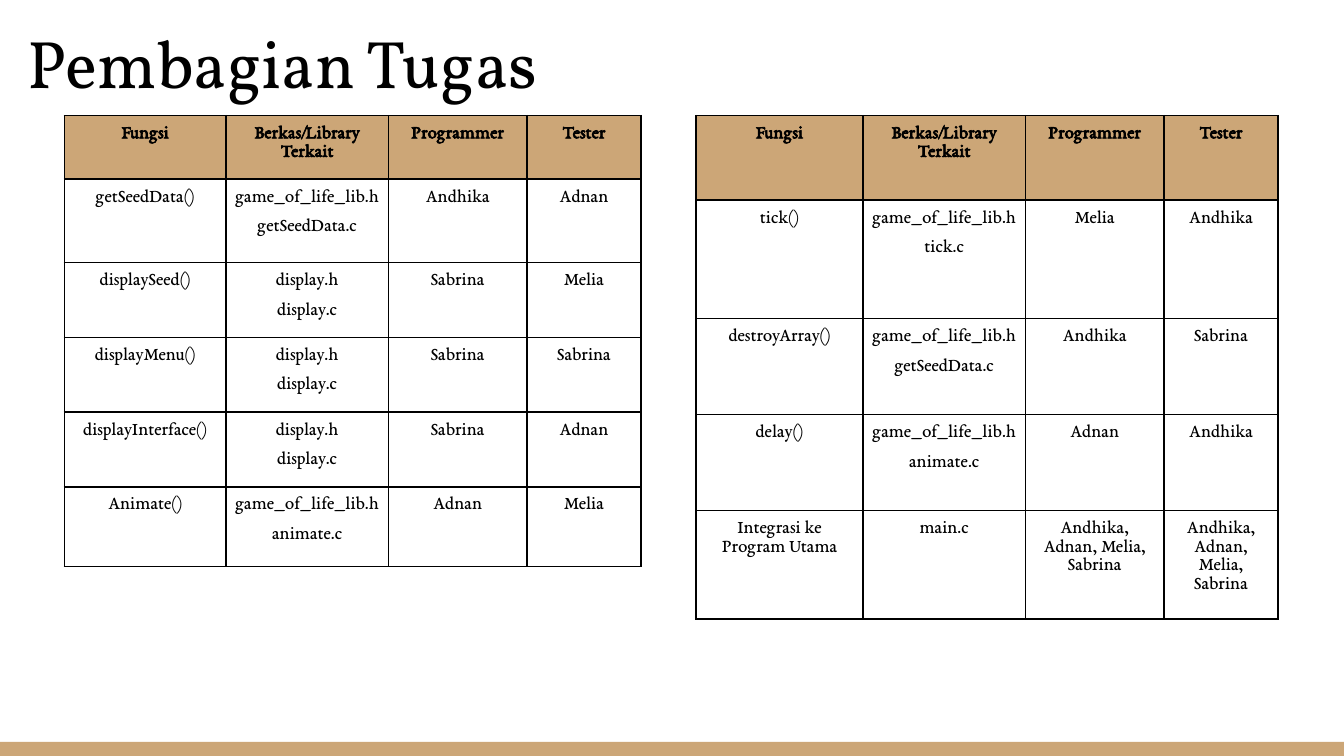
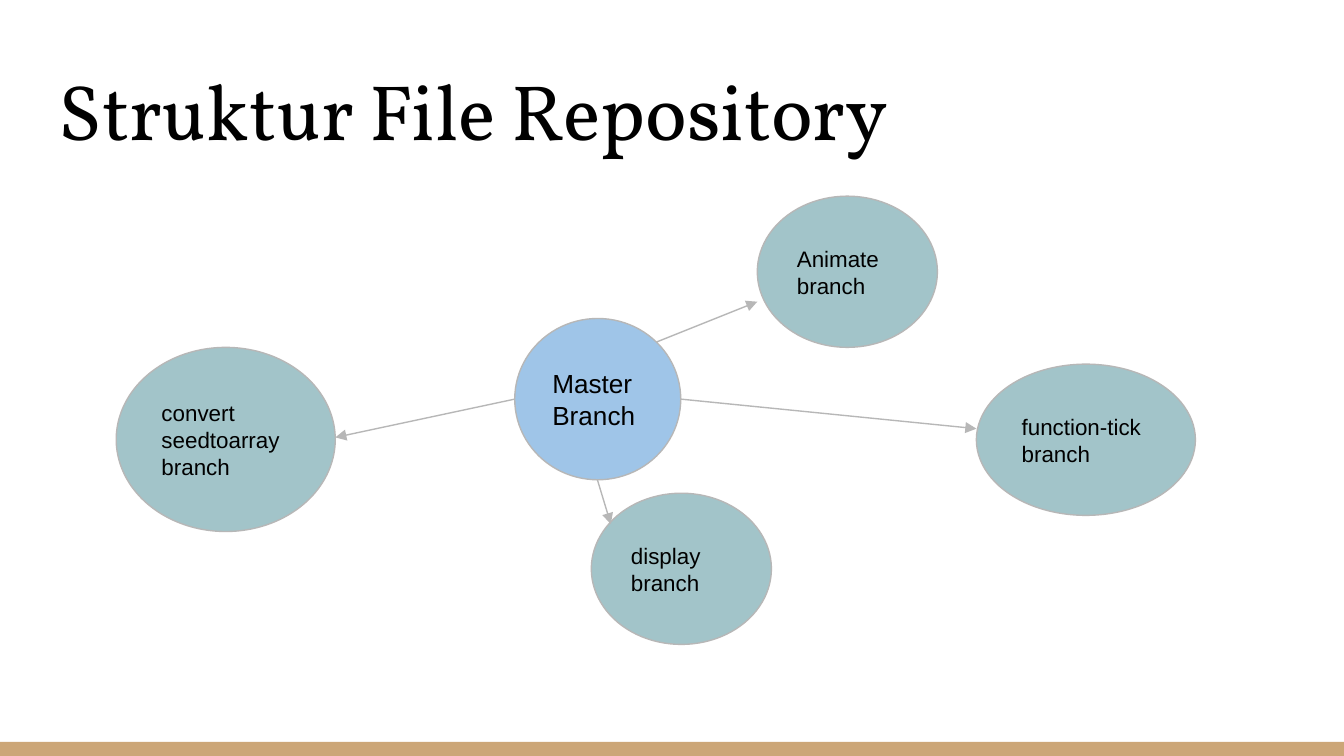
from dataclasses import dataclass

from lxml import etree
from pptx import Presentation
from pptx.dml.color import RGBColor
from pptx.enum.shapes import MSO_CONNECTOR, MSO_SHAPE
from pptx.enum.text import MSO_ANCHOR, PP_ALIGN
from pptx.oxml.ns import qn
from pptx.util import Emu, Pt

RECT = MSO_SHAPE.RECTANGLE
CIRCLE = MSO_SHAPE.FLOWCHART_CONNECTOR
STRAIGHT = MSO_CONNECTOR.STRAIGHT
TOP, MIDDLE, BOTTOM = MSO_ANCHOR.TOP, MSO_ANCHOR.MIDDLE, MSO_ANCHOR.BOTTOM
LEFT, CENTER = PP_ALIGN.LEFT, PP_ALIGN.CENTER

PX = 4572
WIDTH, HEIGHT = 2000, 1125
TAN, BLACK, GREY = "CCA677", "000000", "B7B7B7"
BLUE, TEAL = "9FC5E8", "A2C4C9"
HEADINGS = ("Fungsi", "Berkas/Library Terkait", "Programmer", "Tester")
TEAM = "Andhika, Adnan, Melia, Sabrina"


@dataclass(frozen=True)
class TaskTable:
    """Place, grid sizes and body rows of a task table."""
    x: int
    y: int
    cols: tuple[int, ...]
    heights: tuple[int, ...]
    rows: tuple[tuple[str, ...], ...]


@dataclass(frozen=True)
class Branch:
    """Circle of the repository diagram."""
    text: str
    x: int
    y: int
    w: int
    h: int
    fill: str = TEAL
    size: int = 12


@dataclass(frozen=True)
class Arrow:
    """Straight arrow between two points."""
    x1: int
    y1: int
    x2: int
    y2: int


TASKS = (
    TaskTable(96, 172, (240, 242, 206, 170), (90, 124, 100, 100, 100, 118), (
        ("getSeedData()", "game_of_life_lib.h\ngetSeedData.c", "Andhika", "Adnan"),
        ("displaySeed()", "display.h\ndisplay.c", "Sabrina", "Melia"),
        ("displayMenu()", "display.h\ndisplay.c", "Sabrina", "Sabrina"),
        ("displayInterface()", "display.h\ndisplay.c", "Sabrina", "Adnan"),
        ("Animate()", "game_of_life_lib.h\nanimate.c", "Adnan", "Melia"),
    )),
    TaskTable(1036, 172, (248, 242, 206, 170), (126, 176, 143, 143, 143), (
        ("tick()", "game_of_life_lib.h\ntick.c", "Melia", "Andhika"),
        ("destroyArray()", "game_of_life_lib.h\ngetSeedData.c", "Andhika", "Sabrina"),
        ("delay()", "game_of_life_lib.h\nanimate.c", "Adnan", "Andhika"),
        ("Integrasi ke Program Utama", "main.c", TEAM, TEAM),
    )),
)

BRANCHES = (
    Branch("Master\nBranch", 766, 474, 247, 240, BLUE, 14),
    Branch("convert seedtoarray\nbranch", 173, 517, 326, 274),
    Branch("Animate\nbranch", 1127, 292, 268, 225),
    Branch("function-tick\nbranch", 1453, 542, 326, 225),
    Branch("display\nbranch", 880, 734, 268, 225),
)

ARROWS = (
    Arrow(766, 594, 499, 651),
    Arrow(977, 509, 1127, 449),
    Arrow(1013, 594, 1453, 638),
    Arrow(889, 714, 909, 780),
)


def px(n: int) -> Emu:
    """Turn px into EMU."""
    return Emu(n * PX)


def box(*lengths: int) -> list[Emu]:
    """Turn several px lengths into EMU."""
    return [px(n) for n in lengths]


def color(value: str) -> RGBColor:
    """Turn a hex string into a colour."""
    return RGBColor.from_string(value)


def write(tf, text: str, *, font: str, size: int, bold: bool = False,
          align=LEFT, gap: int = 0, after: int = 0) -> None:
    """Write one paragraph per line, with a gap between and space after the last."""
    lines = text.split("\n")
    for i, line in enumerate(lines):
        p = tf.add_paragraph() if i else tf.paragraphs[0]
        p.alignment = align
        p.space_before = Pt(gap if i else 0)
        p.space_after = Pt(after if i == len(lines) - 1 else 0)
        r = p.add_run()
        r.text = line
        r.font.name, r.font.size, r.font.bold = font, Pt(size), bold
        r.font.color.rgb = color(BLACK)


def set_frame(tf, anchor) -> None:
    """Set wrapping, anchor and insets of a text frame."""
    tf.word_wrap = True
    tf.vertical_anchor = anchor
    tf.margin_left = tf.margin_right = tf.margin_top = tf.margin_bottom = px(20)


def add_shape(s, kind, x: int, y: int, w: int, h: int, fill: str, line: str | None = None):
    """Add a flat filled shape with an optional thin outline."""
    sp = s.shapes.add_shape(kind, *box(x, y, w, h))
    sp.shadow.inherit = False
    sp.fill.solid()
    sp.fill.fore_color.rgb = color(fill)
    if line:
        sp.line.color.rgb = color(line)
        sp.line.width = Pt(0.75)
    else:
        sp.line.fill.background()
    return sp


def add_slide(prs, title: str, x: int, y: int, w: int, h: int, size: int):
    """Add a slide with the footer band and a title."""
    s = prs.slides.add_slide(prs.slide_layouts[6])
    add_shape(s, RECT, 0, 1104, WIDTH, HEIGHT - 1104, TAN)
    tf = s.shapes.add_textbox(*box(x, y, w, h)).text_frame
    set_frame(tf, BOTTOM)
    write(tf, title, font="Vollkorn", size=size)
    return s


def add_borders(cell) -> None:
    """Draw a black one-point border on all sides of a cell."""
    tc_pr = cell._tc.get_or_add_tcPr()
    for side in ("lnL", "lnR", "lnT", "lnB"):
        ln = etree.SubElement(tc_pr, qn(f"a:{side}"), w=str(Pt(1)))
        fill = etree.SubElement(ln, qn("a:solidFill"))
        etree.SubElement(fill, qn("a:srgbClr"), val=BLACK)


def add_task_table(s, task: TaskTable) -> None:
    """Add a task table with its heading row."""
    rows = (HEADINGS, *task.rows)
    frame = s.shapes.add_table(len(rows), len(task.cols), *box(
        task.x, task.y, sum(task.cols), sum(task.heights)))
    table = frame.table
    table.first_row = table.horz_banding = False
    for col, width in zip(table.columns, task.cols):
        col.width = px(width)
    for i, (row, height, texts) in enumerate(zip(table.rows, task.heights, rows)):
        row.height = px(height)
        for cell, text in zip(row.cells, texts):
            cell.margin_left = cell.margin_right = px(14)
            cell.margin_top = cell.margin_bottom = px(14)
            cell.vertical_anchor = TOP
            add_borders(cell)
            if i:
                cell.fill.background()
            else:
                cell.fill.solid()
                cell.fill.fore_color.rgb = color(TAN)
            write(cell.text_frame, text, font="EB Garamond", size=10,
                  bold=i == 0, align=CENTER, gap=6, after=6)


def add_branch(s, branch: Branch) -> None:
    """Add a labelled circle."""
    sp = add_shape(s, CIRCLE, branch.x, branch.y, branch.w, branch.h, branch.fill, GREY)
    set_frame(sp.text_frame, MIDDLE)
    write(sp.text_frame, branch.text, font="Arial", size=branch.size)


def add_arrow(s, arrow: Arrow) -> None:
    """Add a thin grey line with a triangle at its end."""
    c = s.shapes.add_connector(STRAIGHT, *box(arrow.x1, arrow.y1, arrow.x2, arrow.y2))
    c.line.color.rgb = color(GREY)
    c.line.width = Pt(0.75)
    etree.SubElement(c.line._get_or_add_ln(), qn("a:tailEnd"), type="triangle")
    etree.SubElement(c._element.spPr, qn("a:effectLst"))


def main() -> None:
    """Build and save the two slides."""
    prs = Presentation()
    prs.slide_width, prs.slide_height = box(WIDTH, HEIGHT)

    s = add_slide(prs, "Pembagian Tugas", 22, 24, 1864, 148, 36)
    for task in TASKS:
        add_task_table(s, task)

    s = add_slide(prs, "Struktur File Repository", 68, 70, 1864, 182, 42)
    for branch in BRANCHES:
        add_branch(s, branch)
    for arrow in ARROWS:
        add_arrow(s, arrow)

    prs.save("out.pptx")


if __name__ == "__main__":
    main()
